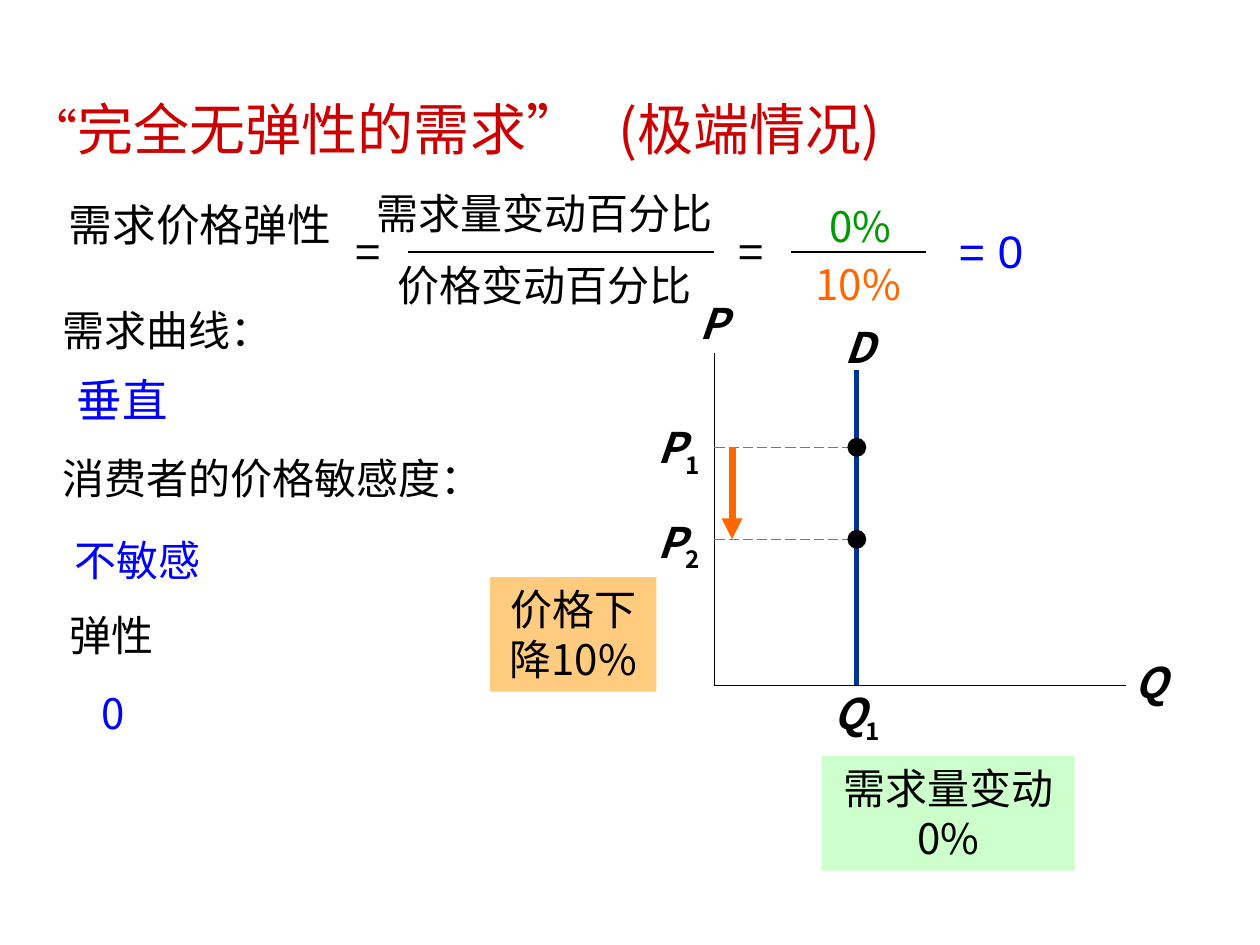
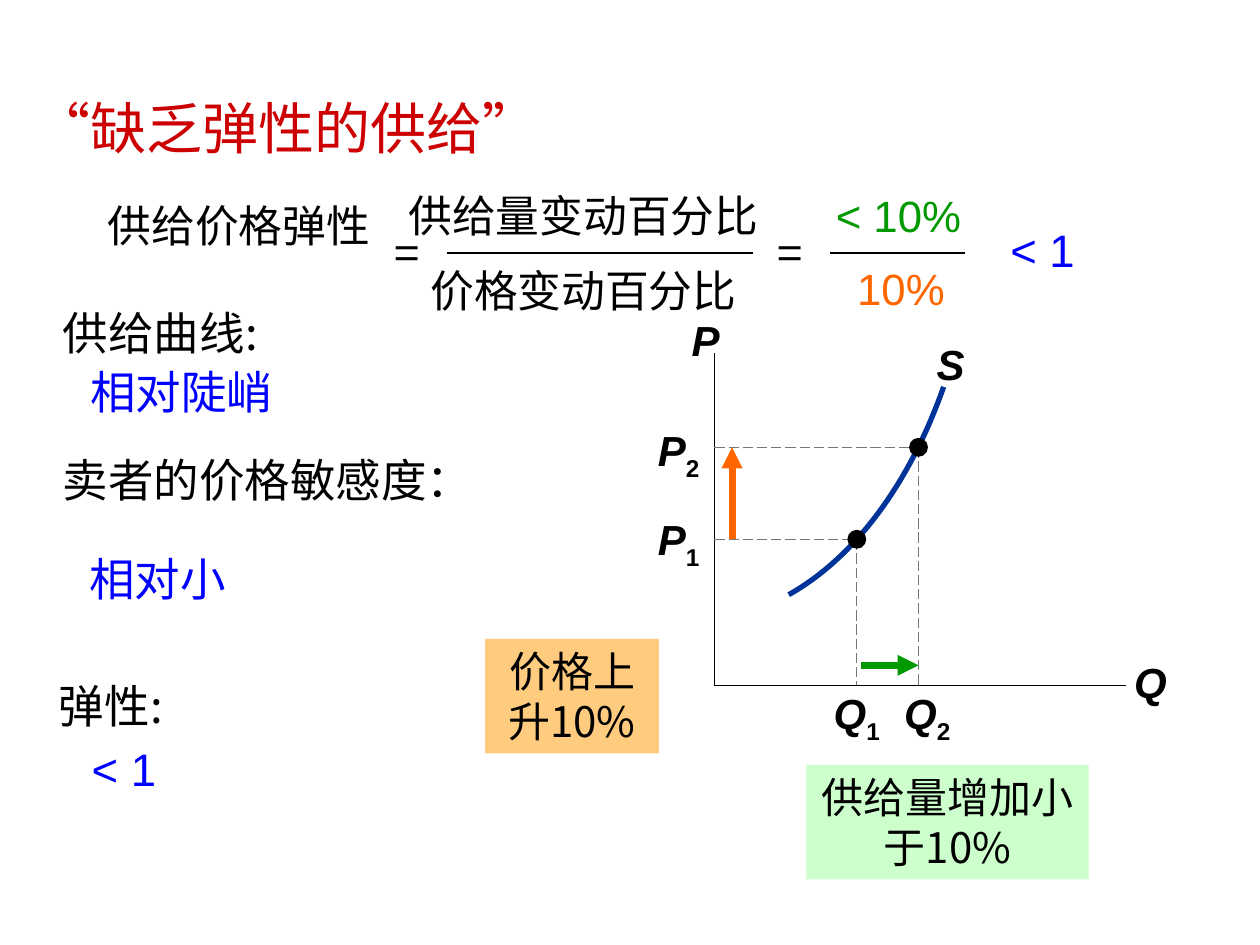
from dataclasses import dataclass
from typing import Optional

from lxml.etree import SubElement
from pptx import Presentation
from pptx.dml.color import RGBColor
from pptx.enum.dml import MSO_LINE
from pptx.enum.shapes import MSO_CONNECTOR, MSO_SHAPE
from pptx.enum.text import MSO_ANCHOR, PP_ALIGN
from pptx.oxml.ns import qn
from pptx.util import Inches, Pt

COLORS = {
    "title": "CC0000", "ink": "000000", "answer": "0000FF", "curve": "003399",
    "guide": "777777", "price": "FF6600", "quantity": "009900",
    "price_note": "FF9900", "quantity_note": "CCFFCC",
}
CJK = "Noto Sans CJK SC"
LATIN = "Arial"
COLUMNS, ROWS = 100, 75
WIDTH, HEIGHT = Inches(10), Inches(7.5)
AXIS_X, AXIS_Y = 56.7, 54.4
AXIS_TOP, AXIS_END = 28, 89.4
HIGH, LOW = 35.5, 42.8
FIRST_X, SECOND_X = 68, 72.9
ARROW_X, ARROW_Y = 58.1, 52.8
DOT = 1.5
CURVE_STEPS = 32


@dataclass(frozen=True)
class Area:
    column: float
    row: float
    columns: float
    rows: float

    def lengths(self) -> tuple[int, int, int, int]:
        return across(self.column), down(self.row), across(self.columns), down(self.rows)


@dataclass(frozen=True)
class Label:
    text: str
    area: Area
    size: float = 24
    color: str = "ink"
    font: str = CJK
    align: PP_ALIGN = PP_ALIGN.CENTER
    spacing: Optional[float] = None
    symbol: bool = False
    subscript: str = ""


@dataclass(frozen=True)
class Note:
    text: str
    area: Area
    fill: str
    opacity: int = 100


@dataclass(frozen=True)
class Stroke:
    start: tuple[float, float]
    end: tuple[float, float]
    color: str = "ink"
    weight: float = 1
    dashed: bool = False
    arrow: bool = False


@dataclass(frozen=True)
class Lesson:
    title: str
    title_area: Area
    opening_size: float
    labels: list[Label]
    strokes: list[Stroke]
    dots: list[tuple[float, float]]
    notes: list[Note]
    curve: tuple[tuple[float, float], ...] = ()


def across(columns: float) -> int:
    return round(WIDTH * columns / COLUMNS)


def down(rows: float) -> int:
    return round(HEIGHT * rows / ROWS)


def paint(name: str) -> RGBColor:
    return RGBColor.from_string(COLORS[name])


def style(span, size: float, color: str, font: str = CJK) -> None:
    span.font.size = Pt(size)
    span.font.color.rgb = paint(color)
    span.font.name = font
    SubElement(span._r.get_or_add_rPr(), qn("a:ea"), typeface=CJK)


def add_label(page, label: Label) -> None:
    box = page.shapes.add_textbox(*label.area.lengths())
    frame = box.text_frame
    frame.word_wrap = True
    frame.text = label.text
    for index, para in enumerate(frame.paragraphs):
        para.alignment = label.align
        if label.spacing:
            para.line_spacing = label.spacing
        if index:
            para.space_before = Pt(label.size / 2)
        for span in para.runs:
            style(span, label.size, label.color, label.font)
            span.font.bold = span.font.italic = label.symbol
    if label.subscript:
        span = frame.paragraphs[0].add_run()
        span.text = label.subscript
        style(span, label.size, label.color, label.font)
        span.font.bold = True
        span._r.get_or_add_rPr().set("baseline", "-25000")


def add_note(page, note: Note) -> None:
    box = page.shapes.add_shape(MSO_SHAPE.RECTANGLE, *note.area.lengths())
    box.shadow.inherit = False
    box.fill.solid()
    box.fill.fore_color.rgb = paint(note.fill)
    if note.opacity < 100:
        color = box._element.spPr.find(f"{qn('a:solidFill')}/{qn('a:srgbClr')}")
        SubElement(color, qn("a:alpha"), val=str(note.opacity * 1000))
    box.line.fill.background()
    frame = box.text_frame
    frame.word_wrap = True
    frame.vertical_anchor = MSO_ANCHOR.TOP
    frame.text = note.text
    para = frame.paragraphs[0]
    para.alignment = PP_ALIGN.CENTER
    style(para.runs[0], 24, "ink")


def add_stroke(page, stroke: Stroke) -> None:
    (x1, y1), (x2, y2) = stroke.start, stroke.end
    line = page.shapes.add_connector(
        MSO_CONNECTOR.STRAIGHT, across(x1), down(y1), across(x2), down(y2))
    line.line.color.rgb = paint(stroke.color)
    line.line.width = Pt(stroke.weight)
    if stroke.dashed:
        line.line.dash_style = MSO_LINE.LONG_DASH
    if stroke.arrow:
        SubElement(line.line._get_or_add_ln(), qn("a:tailEnd"), type="triangle")
    SubElement(line._element.spPr, qn("a:effectLst"))


def add_dot(page, center: tuple[float, float]) -> None:
    area = Area(center[0] - DOT / 2, center[1] - DOT / 2, DOT, DOT)
    dot = page.shapes.add_shape(MSO_SHAPE.OVAL, *area.lengths())
    dot.shadow.inherit = False
    dot.fill.solid()
    dot.fill.fore_color.rgb = paint("ink")
    dot.line.fill.background()


def add_curve(page, controls: tuple[tuple[float, float], ...]) -> None:
    def point(step: int) -> tuple[int, int]:
        t = step / CURVE_STEPS
        weights = ((1 - t) ** 3, 3 * t * (1 - t) ** 2, 3 * t * t * (1 - t), t ** 3)
        return (across(sum(w * x for w, (x, _) in zip(weights, controls))),
                down(sum(w * y for w, (_, y) in zip(weights, controls))))

    builder = page.shapes.build_freeform(*point(0))
    builder.add_line_segments([point(s) for s in range(1, CURVE_STEPS + 1)], close=False)
    curve = builder.convert_to_shape()
    curve.shadow.inherit = False
    curve.fill.background()
    curve.line.color.rgb = paint("curve")
    curve.line.width = Pt(3)


def add_title(page, lesson: Lesson) -> None:
    title = page.shapes.title
    title.left, title.top, title.width, title.height = lesson.title_area.lengths()
    frame = title.text_frame
    frame.vertical_anchor = MSO_ANCHOR.MIDDLE
    para = frame.paragraphs[0]
    para.text = lesson.title[0]
    para.alignment = PP_ALIGN.LEFT
    para.add_run().text = lesson.title[1:]
    tabs = SubElement(para._p.get_or_add_pPr(), qn("a:tabLst"))
    SubElement(tabs, qn("a:tab"), pos=str(across(46.8)), algn="l")
    for span, size in zip(para.runs, (lesson.opening_size, 32)):
        style(span, size, "title")


def symbol(text: str, subscript: str, area: Area, font: str,
           align: PP_ALIGN = PP_ALIGN.CENTER) -> Label:
    return Label(text, area, font=font, align=align, symbol=True, subscript=subscript)


def price(subscript: str, row: float, font: str) -> Label:
    return symbol("P", subscript, Area(49.9, row, 6.6, 5), font, PP_ALIGN.RIGHT)


def point_text(text: str, column: float, row: float, size: float,
               color: str = "ink", font: str = CJK) -> Label:
    return Label(text, Area(column, row, 37, 6), size, color, font, PP_ALIGN.LEFT, 1.05)


def formula(subject: str, size: float, x: float, y: float) -> tuple[list[Label], list[Stroke]]:
    labels = [
        Label(f"{subject}价格弹性", Area(3.4 + x, 15.5 + y, 24.9, 5), 25, spacing=0.95),
        Label(f"{subject}量变动百分比\n价格变动百分比", Area(25.7 + x, 14.4 + y, 35, 11.5), size),
        *(Label("=", Area(column + x, 17.3 + y, 5, 5.3), 26) for column in (26.7, 57.1)),
    ]
    bars = [Stroke((left + x, 20 + y), (right + x, 20 + y))
            for left, right in ((32.4, 56.7), (62.8, 73.5))]
    return labels, bars


def guide(start: tuple[float, float], end: tuple[float, float]) -> Stroke:
    return Stroke(start, end, "guide", 0.75, dashed=True)


def lessons() -> list[Lesson]:
    demand_labels, demand_bars = formula("需求", 24, 0, 0)
    supply_labels, supply_bars = formula("供给", 25, 3.1, 0.1)
    demand = Lesson(
        "“完全无弹性的需求”\t(极端情况)", Area(1.3, 6.8, 92.9, 6.8), 28,
        demand_labels + [
            Label("0%", Area(61.9, 15.4, 12.8, 5.2), color="quantity"),
            Label("10%", Area(61.7, 20, 12.8, 5.2), color="price"),
            Label("= 0", Area(74.9, 17.2, 7.5, 5.3), 26, "answer", LATIN),
            symbol("P", "", Area(52.8, 23.1, 7.6, 5), CJK),
            symbol("Q", "", Area(87.5, 51.6, 7.6, 5), CJK),
            symbol("D", "", Area(64.9, 25, 6.7, 5), CJK),
            symbol("Q", "1", Area(64.8, 54.1, 6.4, 5), CJK),
            price("1", 33, CJK), price("2", 40.5, CJK),
            point_text("需求曲线：", 4, 23.5, 24),
            point_text("垂直", 5.1, 28.8, 26, "answer"),
            point_text("消费者的价格敏感度：", 4, 35.2, 24),
            point_text("不敏感", 4.9, 41.7, 24, "answer"),
            point_text("弹性", 4.5, 47.7, 24),
            point_text("0", 7.1, 53.9, 24, "answer"),
        ],
        demand_bars + [
            *(guide((AXIS_X, row), (FIRST_X, row)) for row in (HIGH, LOW)),
            Stroke((FIRST_X, 29.4), (FIRST_X, AXIS_Y), "curve", 3),
            Stroke((ARROW_X, HIGH), (ARROW_X, LOW), "price", 4, arrow=True),
        ],
        [(FIRST_X, HIGH), (FIRST_X, LOW)],
        [Note("价格下降10%", Area(38.9, 45.8, 13.2, 9.1), "price_note", 50),
         Note("需求量变动 0%", Area(65.2, 60, 20.1, 9.1), "quantity_note")],
    )
    supply = Lesson(
        "“缺乏弹性的供给”", Area(1.7, 6.7, 92.9, 6.8), 32,
        supply_labels + [
            Label("< 10%", Area(64.9, 14.5, 12.8, 5.2), 25, "quantity", LATIN),
            Label("10%", Area(65.1, 20.3, 12.8, 5.2), 25, "price", LATIN),
            Label("< 1", Area(79, 17.1, 7.5, 5.3), 26, "answer", LATIN),
            symbol("P", "", Area(52.2, 24.5, 7.6, 5), LATIN),
            symbol("Q", "", Area(87.5, 51.6, 7.6, 5), LATIN),
            symbol("S", "", Area(72.1, 26.4, 6.7, 5), LATIN),
            symbol("Q", "1", Area(64.8, 54.1, 6.4, 5), LATIN),
            symbol("Q", "2", Area(70.6, 54.1, 6, 5), LATIN),
            price("1", 40.3, LATIN), price("2", 33.2, LATIN),
            point_text("供给曲线:", 4, 23.5, 26),
            point_text("相对陡峭", 6.2, 28.2, 26, "answer"),
            point_text("卖者的价格敏感度：", 4, 35.2, 26),
            point_text("相对小", 6.1, 43, 26, "answer"),
            point_text("弹性:", 3.7, 53.1, 26),
            point_text("< 1", 6.3, 58.1, 26, "answer", LATIN),
        ],
        supply_bars + [
            *(stroke for column, row in ((FIRST_X, LOW), (SECOND_X, HIGH)) for stroke in (
                guide((AXIS_X, row), (column, row)), guide((column, row), (column, AXIS_Y)))),
            Stroke((ARROW_X, LOW), (ARROW_X, HIGH), "price", 4, arrow=True),
            Stroke((68.3, ARROW_Y), (SECOND_X, ARROW_Y), "quantity", 4, arrow=True),
        ],
        [(FIRST_X, LOW), (SECOND_X, HIGH)],
        [Note("供给量增加小于10%", Area(64, 60.7, 22.4, 9.1), "quantity_note"),
         Note("价格上升10%", Area(38.5, 50.7, 13.8, 9.1), "price_note", 50)],
        ((74.9, 30.7), (72.2, 38.4), (67.8, 44.3), (62.6, 47.2)),
    )
    return [demand, supply]


def add_lesson(deck, lesson: Lesson) -> None:
    page = deck.slides.add_slide(deck.slide_layouts[5])
    add_title(page, lesson)
    axes = [Stroke((AXIS_X, AXIS_TOP), (AXIS_X, AXIS_Y)),
            Stroke((AXIS_X, AXIS_Y), (AXIS_END, AXIS_Y))]
    for stroke in axes + lesson.strokes:
        add_stroke(page, stroke)
    if lesson.curve:
        add_curve(page, lesson.curve)
    for dot in lesson.dots:
        add_dot(page, dot)
    for note in lesson.notes:
        add_note(page, note)
    for label in lesson.labels:
        add_label(page, label)


def main() -> None:
    deck = Presentation()
    deck.slide_width, deck.slide_height = WIDTH, HEIGHT
    for lesson in lessons():
        add_lesson(deck, lesson)
    deck.save("out.pptx")


if __name__ == "__main__":
    main()
